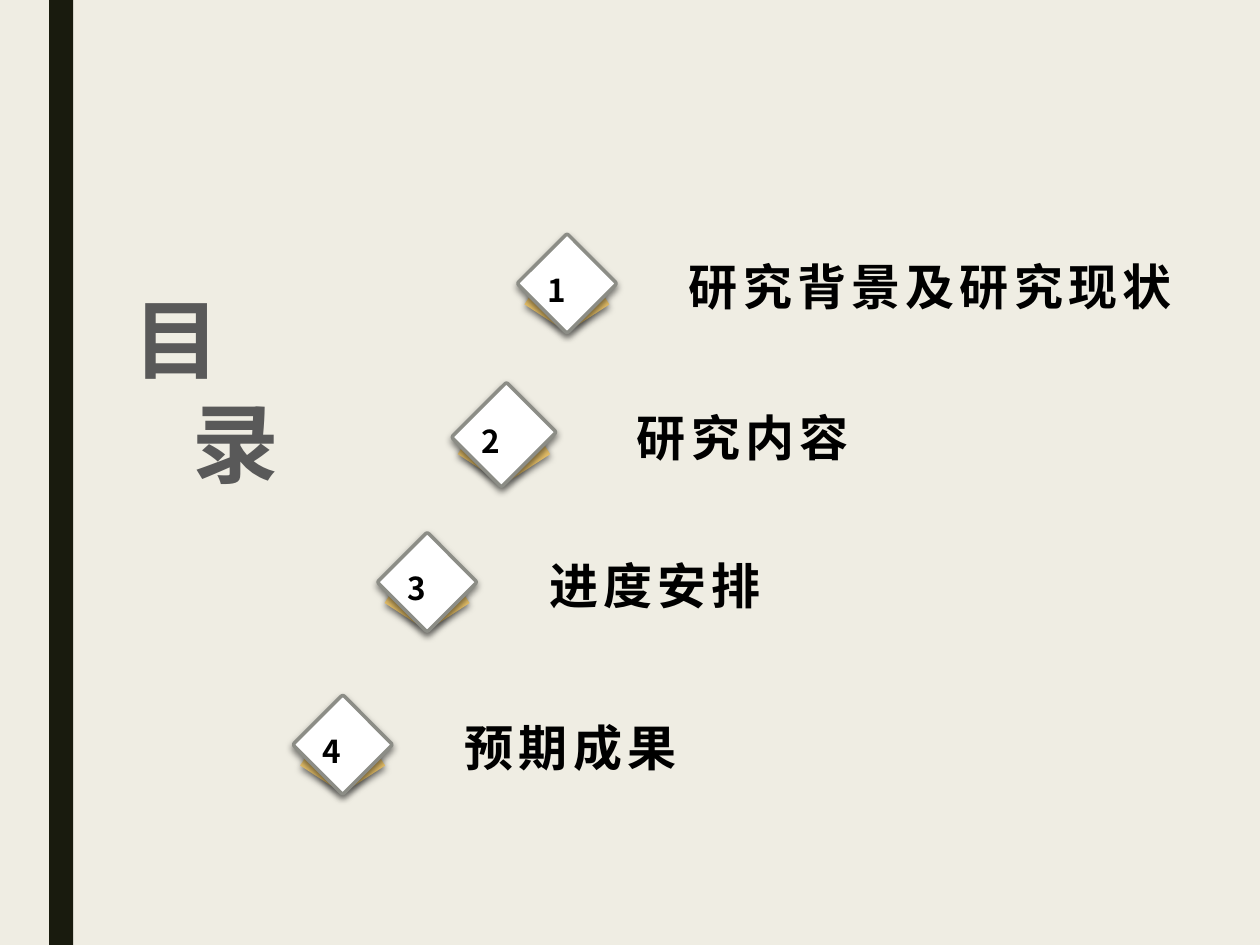
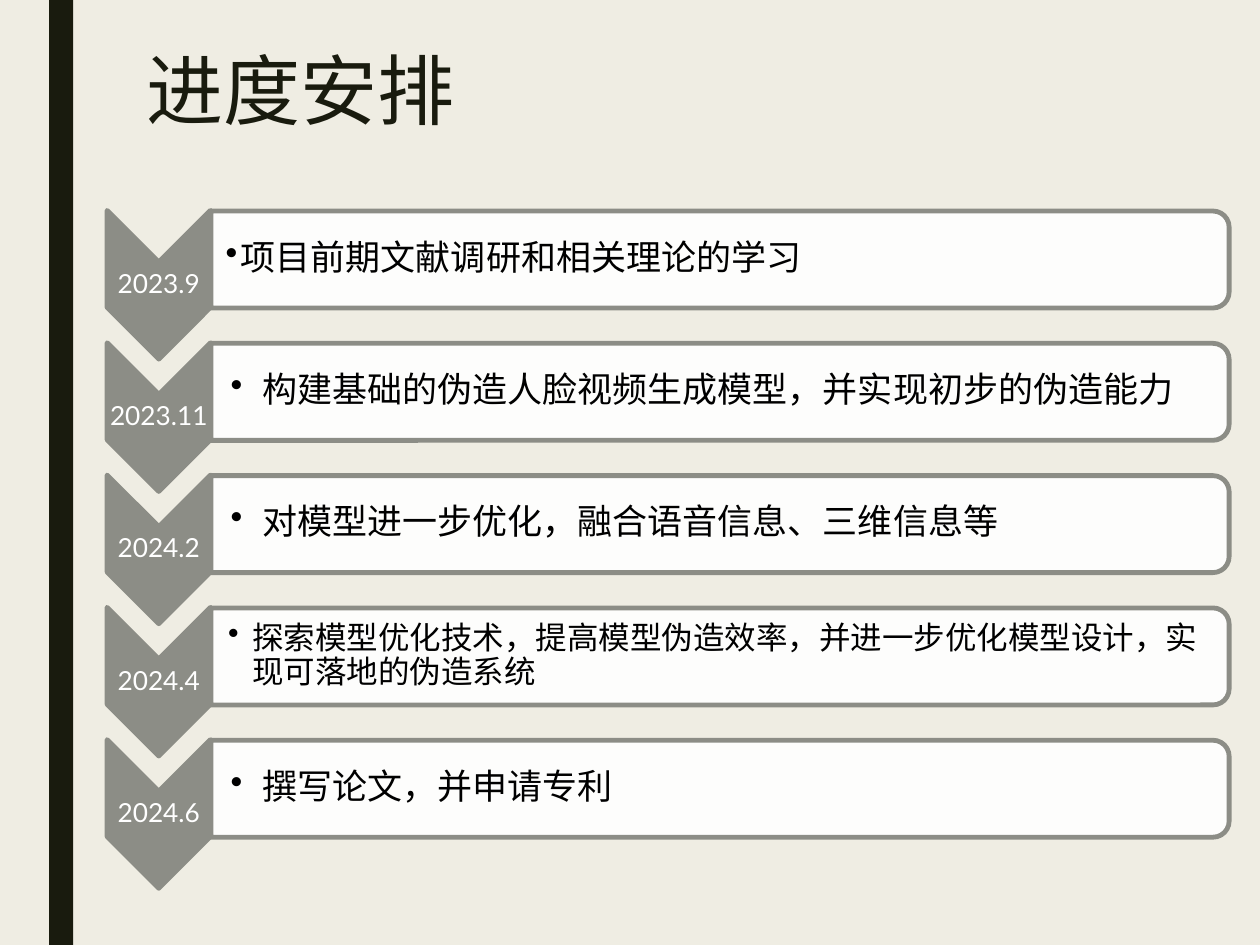
from lxml.etree import SubElement as Sub
from pptx import Presentation
from pptx.dml.color import RGBColor as RGB
from pptx.enum.shapes import MSO_SHAPE as Kind
from pptx.enum.text import MSO_ANCHOR as Anchor, MSO_AUTO_SIZE as Fit, PP_ALIGN as Align
from pptx.oxml.ns import qn
from pptx.util import Inches, Pt

CREAM = RGB(0xEF, 0xED, 0xE3)
DARK = RGB(0x19, 0x1B, 0x0E)
GRAY = RGB(0x8C, 0x8D, 0x86)
SLATE = RGB(0x59, 0x59, 0x59)
GOLD = RGB(0xE6, 0xC0, 0x69)
WHITE = RGB(0xFF, 0xFF, 0xFF)
BLACK = RGB(0, 0, 0)
LATO, NOTO = "Lato", "Noto Sans CJK SC"
COLS, ROWS = 100, 75

# name, then column and row of the diamond's centre, then stretch
TOPICS = [
    ("研究背景及研究现状", 45, 22.5, 1),
    ("研究内容", 40, 34.5, 1.1),
    ("进度安排", 33.9, 46.2, 1),
    ("预期成果", 27.2, 59.1, 1),
]
# date, task, text size, left inset, bullet indent
STEPS = [
    ("2023.9", "项目前期文献调研和相关理论的学习", 20, 1.2, 1.2),
    ("2023.11", "构建基础的伪造人脸视频生成模型，并实现初步的伪造能力", 20, 1.6, 2.5),
    ("2024.2", "对模型进一步优化，融合语音信息、三维信息等", 20, 1.6, 2.5),
    ("2024.4", "探索模型优化技术，提高模型伪造效率，并进一步优化模型设计，实现可落地的伪造系统",
     18, 1.4, 1.9),
    ("2024.6", "撰写论文，并申请专利", 20, 1.6, 2.5),
]


class Deck:
    """Holds the style, the grid and the current slide."""

    def __init__(self):
        self.prs = Presentation()
        self.prs.slide_width, self.prs.slide_height = Inches(10), Inches(7.5)
        fill = self.prs.slide_master.background.fill
        fill.solid()
        fill.fore_color.rgb = CREAM
        self.slide = None

    def x(self, cols):
        return round(self.prs.slide_width * cols / COLS)

    def y(self, rows):
        return round(self.prs.slide_height * rows / ROWS)

    def box(self, left, top, wide, high):
        return self.x(left), self.y(top), self.x(wide), self.y(high)

    def page(self):
        self.slide = self.prs.slides.add_slide(self.prs.slide_layouts[5])

    def band(self):
        """Put the dark side band on the master, behind all else."""
        bar = self.shape(Kind.RECTANGLE, 4.85, ROWS / 2, 1.9, ROWS, DARK)
        self.prs.slide_master.shapes.element.insert(2, bar.element)

    def shape(self, kind, mid, row, wide, high, fill, line=None, turn=0, flip=False):
        """Add a shape around its centre; wide and high are before the turn."""
        item = self.slide.shapes.add_shape(
            kind, *self.box(mid - wide / 2, row - high / 2, wide, high))
        item.shadow.inherit = False
        item.rotation = turn
        item.fill.solid()
        item.fill.fore_color.rgb = fill
        if line:
            item.line.color.rgb = GRAY
            item.line.width = Pt(line)
        else:
            item.line.fill.background()
        if flip:
            item.element.spPr.find(qn("a:xfrm")).set("flipH", "1")
        return item

    def shade(self, item):
        effect = item.element.spPr.find(qn("a:effectLst"))
        drop = Sub(effect, qn("a:outerShdw"), blurRad=str(Pt(4)), dist=str(Pt(2)),
                   dir="5400000", algn="t", rotWithShape="0")
        tint = Sub(drop, qn("a:srgbClr"), val=str(BLACK))
        Sub(tint, qn("a:alpha"), val="50000")

    def fade(self, item, share):
        tint = item.element.spPr.find(qn("a:solidFill")).find(qn("a:srgbClr"))
        Sub(tint, qn("a:alpha"), val=str(share * 1000))

    def style(self, para, size, face, color, bold=False, gap=0, lead=1.0, align=Align.LEFT):
        para.alignment, para.line_spacing = align, lead
        font = para.font
        font.size, font.name, font.bold = Pt(size), face, bold
        font.color.rgb = color
        prop = para._p.pPr.find(qn("a:defRPr"))
        Sub(prop, qn("a:ea"), typeface=face)
        if gap:
            prop.set("spc", str(gap * 100))

    def inset(self, frame, left, rest):
        frame.margin_left, frame.margin_right = self.x(left), self.x(rest)
        frame.margin_top = frame.margin_bottom = self.y(rest)

    def text(self, words, place, size, face, color, **look):
        frame = self.slide.shapes.add_textbox(*self.box(*place)).text_frame
        frame.word_wrap = True
        frame.text = words
        self.style(frame.paragraphs[0], size, face, color, **look)
        return frame

    def title(self, words, place, size, color, **look):
        head = self.slide.shapes.title
        head.left, head.top, head.width, head.height = self.box(*place)
        frame = head.text_frame
        frame.text = words
        frame.auto_size, frame.vertical_anchor = Fit.NONE, Anchor.TOP
        for para in frame.paragraphs:
            self.style(para, size, LATO, color, **look)
        return frame

    def bullet(self, para, indent):
        prop = para._p.get_or_add_pPr()
        prop.set("marL", str(self.x(indent)))
        prop.set("indent", str(-self.x(indent)))
        mark = prop.makeelement(qn("a:buChar"), char="•")
        prop.insert_element_before(mark, "a:tabLst", "a:defRPr", "a:extLst")

    def topic(self, num, name, mid, row, grow):
        look = dict(bold=True, gap=3, lead=1.25)
        label = self.text(name, (mid + 8.7 * grow, row - 3.8, 45, 6.1),
                          28, NOTO, BLACK, **look)
        for side, turn in ((1, 327), (-1, 33.2)):
            self.shade(self.shape(Kind.RIGHT_TRIANGLE, mid + side * 1.25 * grow, row + 2.15,
                                  4.1 * grow, 1.5, GOLD, turn=turn, flip=side > 0))
        card = self.shape(Kind.ROUNDED_RECTANGLE, mid, row, 5.6, 5.6 * grow,
                          WHITE, line=2, turn=45)
        card.adjustments[0] = 0.03
        self.shade(card)
        digit = self.text(str(num), (mid - 2.55 * grow, row - 2.25, 5.1 * grow, 4.8),
                          18, NOTO, BLACK, align=Align.JUSTIFY, **look)
        label.auto_size = digit.auto_size = Fit.SHAPE_TO_FIT_TEXT

    def step(self, row, date, task, size, left, indent):
        self.shape(Kind.CHEVRON, 12.6, row, 11.8, 8.2, GRAY, line=2.75, turn=90)
        when = self.text(date, (8.5, row - 1.75, 8.2, 3.5), 15, LATO, WHITE,
                         lead=0.9, align=Align.CENTER)
        self.inset(when, 0.1, 0.1)
        bar = self.shape(Kind.ROUND_2_SAME_RECTANGLE, 57.15, row - 2, 7.7, 80.8,
                         WHITE, line=2.75, turn=90)
        self.fade(bar, 90)
        what = self.text(task, (16.7, row - 5.5, 80.4, 6.9), size, NOTO, BLACK, lead=0.9)
        self.inset(what, left, 0.1)
        self.bullet(what.paragraphs[0], indent)
        when.vertical_anchor = what.vertical_anchor = Anchor.MIDDLE


def main():
    deck = Deck()
    deck.page()
    deck.band()
    head = deck.title("目\n录", (10.2, 22.5, 26.2, 16.9), 49.5, SLATE, bold=True)
    deck.inset(head, 0.4, 0.2)
    head.paragraphs[1]._p.pPr.set("marL", str(deck.x(4.7)))
    for num, topic in enumerate(TOPICS, 1):
        deck.topic(num, *topic)

    deck.page()
    deck.title("进度安排", (10.6, 3.8, 78.8, 16.2), 44, DARK, lead=0.89)
    for i, step in enumerate(STEPS):
        deck.step(22.6 + 10.5 * i, *step)
    deck.prs.save("out.pptx")


if __name__ == "__main__":
    main()
